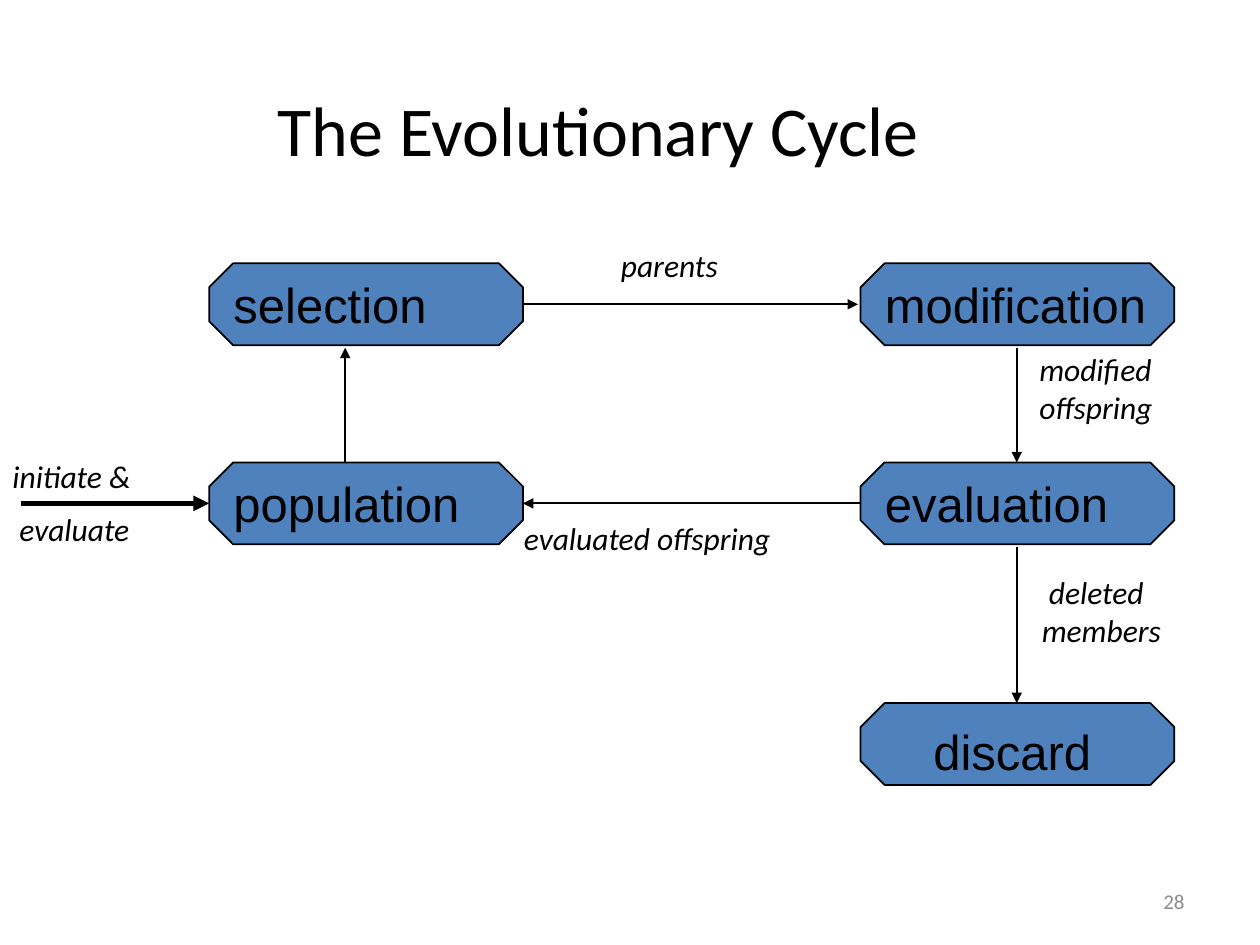
from lxml import etree
from pptx import Presentation
from pptx.dml.color import RGBColor
from pptx.enum.shapes import MSO_CONNECTOR, MSO_SHAPE
from pptx.enum.text import MSO_ANCHOR, PP_ALIGN
from pptx.oxml.ns import qn
from pptx.util import Inches, Pt

STRAIGHT = MSO_CONNECTOR.STRAIGHT
OCTAGON = MSO_SHAPE.OCTAGON
TOP, MIDDLE = MSO_ANCHOR.TOP, MSO_ANCHOR.MIDDLE
LEFT, CENTER, RIGHT = PP_ALIGN.LEFT, PP_ALIGN.CENTER, PP_ALIGN.RIGHT

COLORS = {"node": "4F81BD", "ink": "000000", "number": "8C8C8C"}
WIDTH, HEIGHT = 10, 7.5
COLS = (1.66, 6.83)
ROWS = (2.09, 3.67, 5.58)
NODE_W, NODE_H = 2.49, 0.65
NODES = (("selection", 0, 0), ("population", 0, 1), ("evaluation", 1, 1),
         ("modification", 1, 0), ("", 1, 2))
ROW_MIDS = [top + NODE_H / 2 for top in ROWS]
COL_ENDS = [left + NODE_W for left in COLS]
UP_X, DOWN_X = 2.74, 8.07
GAP = 0.02
ARROWS = (
    (COL_ENDS[0], ROW_MIDS[0], COLS[1] - GAP, ROW_MIDS[0], 1),
    (UP_X, ROWS[1], UP_X, ROWS[0] + NODE_H + GAP, 1),
    (DOWN_X, ROWS[0] + NODE_H + GAP, DOWN_X, ROWS[1], 1),
    (DOWN_X, ROWS[1] + NODE_H + GAP, DOWN_X, ROWS[2], 1),
    (COLS[1], ROW_MIDS[1], COL_ENDS[0], ROW_MIDS[1], 1),
    (0.17, ROW_MIDS[1], COLS[0], ROW_MIDS[1], 3),
)
LABELS = (
    (" deleted \nmembers", 8.17, 4.5, 1.4, 0.9),
    ("parents", 4.83, 1.9, 1.2, 0.5),
    ("modified\noffspring", 8.15, 2.73, 1.4, 0.9),
    ("evaluated offspring", 4.06, 4.07, 2.78, 0.5),
    ("initiate &", 0, 3.58, 1.58, 0.5),
    (" evaluate", 0, 4, 1.67, 0.5),
)


def rgb(name):
    """Return the named colour."""
    return RGBColor.from_string(COLORS[name])


def set_text(sp, text, size, font="Calibri", color="ink", align=LEFT,
             anchor=TOP, italic=False):
    """Fill a shape with uniformly formatted text."""
    tf = sp.text_frame
    tf.word_wrap = True
    tf.vertical_anchor = anchor
    tf.text = text
    for p in tf.paragraphs:
        p.alignment = align
        for r in p.runs:
            r.font.size = Pt(size)
            r.font.name = font
            r.font.italic = italic
            r.font.color.rgb = rgb(color)


def add_text(s, text, x, y, w, h, size, **style):
    """Add a text box."""
    sp = s.shapes.add_textbox(Inches(x), Inches(y), Inches(w), Inches(h))
    set_text(sp, text, size, **style)


def add_node(s, text, col, row):
    """Add an octagonal stage of the cycle at a grid position."""
    sp = s.shapes.add_shape(OCTAGON, Inches(COLS[col]), Inches(ROWS[row]),
                            Inches(NODE_W), Inches(NODE_H))
    sp.adjustments[0] = 0.293
    sp.shadow.inherit = False
    sp.fill.solid()
    sp.fill.fore_color.rgb = rgb("node")
    sp.line.color.rgb = rgb("ink")
    sp.line.width = Pt(1)
    if text:
        set_text(sp, text, 28, font="Arial", anchor=MIDDLE)


def add_arrow(s, x1, y1, x2, y2, width):
    """Add a straight line with an arrowhead at its end."""
    cx = s.shapes.add_connector(STRAIGHT, Inches(x1), Inches(y1),
                                Inches(x2), Inches(y2))
    cx.line.color.rgb = rgb("ink")
    cx.line.width = Pt(width)
    sp_pr = cx.line._get_or_add_ln().getparent()
    etree.SubElement(sp_pr.find(qn("a:ln")), qn("a:tailEnd"), type="triangle")
    etree.SubElement(sp_pr, qn("a:effectLst"))


def main():
    """Build the evolutionary cycle slide."""
    prs = Presentation()
    prs.slide_width, prs.slide_height = Inches(WIDTH), Inches(HEIGHT)
    s = prs.slides.add_slide(prs.slide_layouts[6])
    add_text(s, "28", 7.17, 6.95, 2.33, 0.4, 12, color="number",
             align=RIGHT, anchor=MIDDLE)
    add_text(s, "The Evolutionary Cycle", 0.5, 0.67, 8.5, 0.7, 40,
             align=CENTER, anchor=MIDDLE)
    for node in NODES:
        add_node(s, *node)
    for arrow in ARROWS:
        add_arrow(s, *arrow)
    add_text(s, "discard", 7.31, 5.68, 1.5, 0.56, 28, font="Arial")
    for label in LABELS:
        add_text(s, *label, 18, italic=True)
    prs.save("out.pptx")


main()
